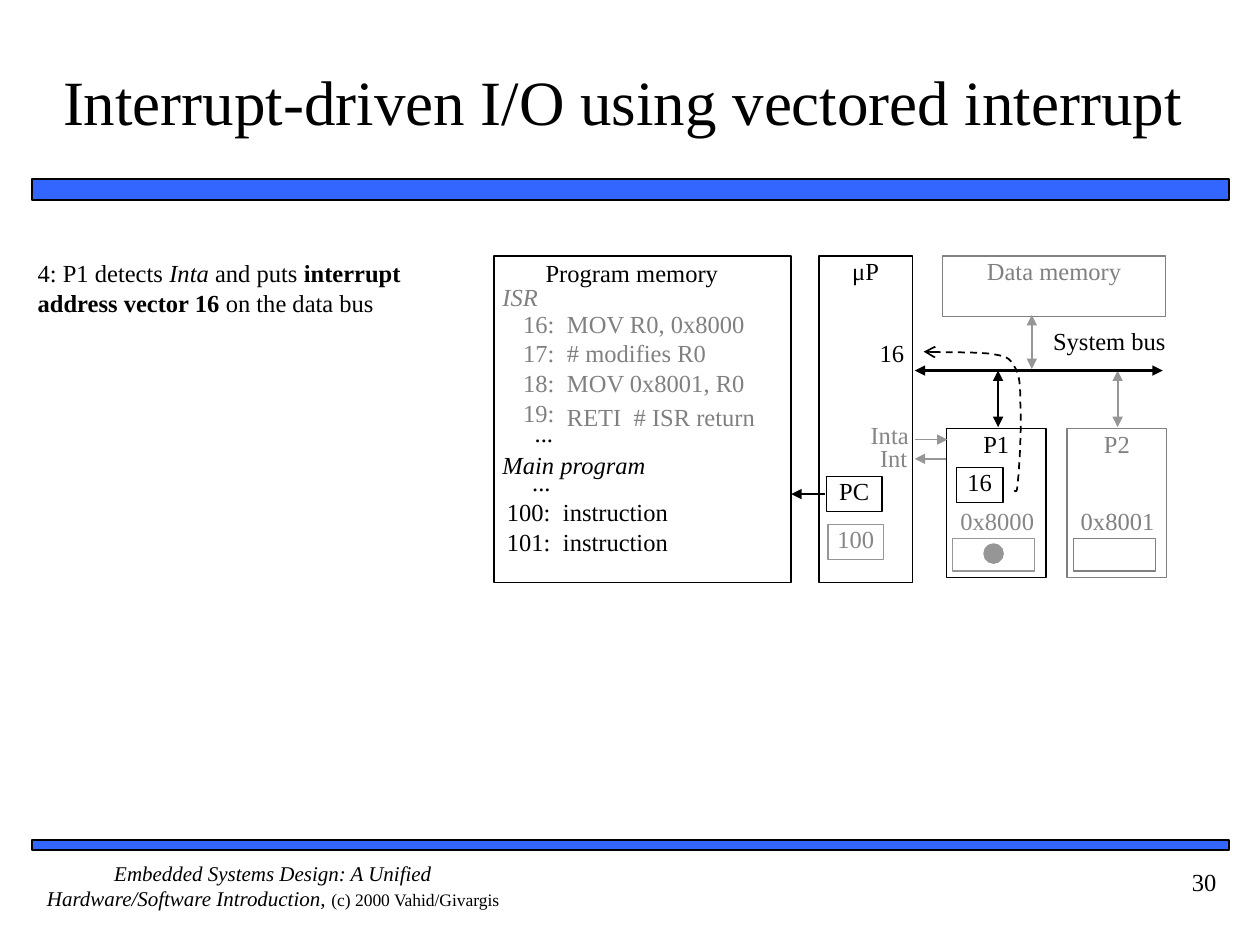
from dataclasses import dataclass

from lxml.etree import SubElement
from pptx import Presentation
from pptx.dml.color import RGBColor
from pptx.enum.dml import MSO_LINE
from pptx.enum.shapes import MSO_CONNECTOR, MSO_SHAPE
from pptx.enum.text import MSO_ANCHOR, PP_ALIGN
from pptx.oxml.ns import qn
from pptx.util import Cm, Pt


@dataclass(frozen=True)
class Theme:
    black: str = "000000"
    white: str = "FFFFFF"
    blue: str = "3366FF"
    gray: str = "808080"
    mid: str = "868686"
    pale: str = "969696"
    face: str = "Times New Roman"
    head: int = 36
    body: int = 14
    foot: int = 12
    note: int = 10


theme = Theme()
LEFT, MID, RIGHT = PP_ALIGN.LEFT, PP_ALIGN.CENTER, PP_ALIGN.RIGHT

deck = Presentation()
deck.slide_width, deck.slide_height = Cm(25.4), Cm(19.05)
slide = deck.slides.add_slide(deck.slide_layouts[6])
shapes = slide.shapes


def write(place, runs, align=LEFT, color=theme.black, shape=None,
          anchor=MSO_ANCHOR.TOP, pad=(0, 0)):
    """Put runs of (text, font values) in the shape, or in a new text box."""
    shape = shape or shapes.add_textbox(*map(Cm, place))
    frame = shape.text_frame
    side, edge = map(Cm, pad)
    values = {"word_wrap": True, "vertical_anchor": anchor,
              "margin_left": side, "margin_right": side,
              "margin_top": edge, "margin_bottom": edge}
    for name, value in values.items():
        setattr(frame, name, value)
    para = frame.paragraphs[0]
    para.alignment = align
    for text, extra in runs:
        run = para.add_run()
        run.text = text
        values = {"name": theme.face, "size": Pt(theme.body)} | extra
        for name, value in values.items():
            setattr(run.font, name, value)
        run.font.color.rgb = RGBColor.from_string(color)


def box(place, line, fill=None, text="", color=theme.black, width=0.75,
        kind=MSO_SHAPE.RECTANGLE):
    shape = shapes.add_shape(kind, *map(Cm, place))
    shape.shadow.inherit = False
    if fill:
        shape.fill.solid()
        shape.fill.fore_color.rgb = RGBColor.from_string(fill)
    else:
        shape.fill.background()
    shape.line.color.rgb = RGBColor.from_string(line)
    shape.line.width = Pt(width)
    if text:
        write(place, [(text, {})], MID, color, shape)


# Title, bars and footer
for top, tall in ((3.61, 0.43), (16.94, 0.2)):
    box((0.64, top, 24.13, tall), theme.black, theme.blue, width=1)
write((1.07, 0.43, 23.29, 3.18),
      [("Interrupt-driven I/O using vectored interrupt ", {"size": Pt(theme.head)})],
      MID, anchor=MSO_ANCHOR.MIDDLE, pad=(0, 0.13))
write((0.64, 17.35, 9.73, 1.27),
      [("Embedded Systems Design: A Unified Hardware/Software Introduction, ",
        {"size": Pt(theme.foot), "italic": True}),
       ("(c) 2000 Vahid/Givargis", {"size": Pt(theme.note)})], MID)
write((22.23, 17.35, 2.54, 1.27), [("30", {})], RIGHT, pad=(0.25, 0.13))

# Step
write((0.76, 5.21, 8.64, 1.19),
      [("4: P1 detects ", {}), ("Inta ", {"italic": True}), ("and puts ", {}),
       ("interrupt address vector 16", {"bold": True}), (" on the data bus", {})])

# Blocks, then the parts inside them
for place, line, fill, text, color in (
        ((16.51, 5.16, 1.88, 6.58), theme.black, theme.white, "μP", theme.black),
        ((19.08, 8.64, 2.01, 3), theme.black, theme.white, "P1", theme.black),
        ((21.51, 8.64, 2.01, 3), theme.gray, theme.white, "P2", theme.gray),
        ((19, 5.16, 4.5, 1.22), theme.gray, None, "Data memory", theme.gray),
        ((9.96, 5.16, 5.99, 6.58), theme.black, theme.white, "", theme.black),
        ((19.2, 10.85, 1.65, 0.66), theme.pale, theme.white, "", theme.black),
        ((21.64, 10.85, 1.65, 0.66), theme.gray, theme.white, "", theme.black),
        ((16.66, 9.6, 1.12, 0.71), theme.black, theme.white, "PC", theme.black),
        ((16.69, 10.57, 1.12, 0.71), theme.pale, None, "100", theme.mid),
        ((19.28, 9.42, 0.94, 0.71), theme.black, None, "16", theme.black)):
    box(place, line, fill, text, color)
box((19.84, 10.97, 0.38, 0.38), theme.pale, theme.pale, width=1,
    kind=MSO_SHAPE.OVAL)

# Program listing: right edge of the number, left edge of the code
for edge, top, num, left, base, code, color in (
        (11.18, 6.22, "16:", 11.43, 6.22, "MOV R0, 0x8000", theme.gray),
        (11.18, 6.81, "17:", 11.43, 6.81, "# modifies R0", theme.gray),
        (11.18, 7.42, "18:", 11.43, 7.42, "MOV 0x8001, R0", theme.gray),
        (11.18, 8.03, "19:", 11.43, 8.1, "RETI  # ISR return", theme.gray),
        (11.1, 10.01, "100:", 11.35, 10.01, "instruction", theme.black),
        (11.1, 10.62, "101:", 11.35, 10.62, "instruction", theme.black)):
    write((edge - 1.2, top, 1.2, 0.62), [(num, {})], RIGHT, color)
    write((left, base, 4.6, 0.62), [(code, {})], LEFT, color)

# Labels
for place, text, align, color, slant in (
        ((11, 5.21, 4.09, 0.84), "Program memory", LEFT, theme.black, False),
        ((10.13, 5.69, 1.3, 0.86), "ISR", LEFT, theme.gray, True),
        ((10.39, 8.43, 0.76, 0.64), "...", RIGHT, theme.black, False),
        ((10.13, 9.07, 3.51, 1.04), "Main program", LEFT, theme.black, True),
        ((10.34, 9.42, 0.76, 0.64), "...", RIGHT, theme.black, False),
        ((17.6, 6.81, 0.76, 0.71), "16", MID, theme.black, False),
        ((17.3, 8.46, 1.02, 0.81), "Inta", RIGHT, theme.mid, False),
        ((17.45, 8.94, 0.84, 0.81), "Int", RIGHT, theme.mid, False),
        ((21.03, 6.58, 2.67, 0.81), "System bus", MID, theme.black, False),
        ((19.23, 10.21, 1.75, 0.66), "0x8000", MID, theme.mid, False),
        ((21.69, 10.21, 1.68, 0.66), "0x8001", MID, theme.gray, False)):
    write(place, [(text, {"italic": slant})], align, color)

# Wires: from x, y to x, y
both, last = {"headEnd": "triangle", "tailEnd": "triangle"}, {"tailEnd": "triangle"}
wires = []
for ends, color, width, tips in (
        ((22.53, 7.47, 22.53, 8.61), theme.pale, 1.25, both),
        ((20.8, 6.35, 20.8, 7.44), theme.pale, 1.25, both),
        ((16.64, 9.96, 15.95, 9.96), theme.black, 1.25, last),
        ((19.08, 9.25, 18.44, 9.25), theme.pale, 0.75, last),
        ((18.44, 8.86, 19.1, 8.86), theme.pale, 0.75, last),
        ((18.44, 7.47, 23.44, 7.47), theme.black, 1.25, both),
        ((20.12, 7.47, 20.12, 8.61), theme.black, 1.25, both)):
    wire = shapes.add_connector(MSO_CONNECTOR.STRAIGHT, *map(Cm, ends))
    SubElement(wire.element.spPr, qn("a:effectLst"))
    wires.append((wire, color, width, tips))

# Vector's way from P1 to the processor: cubic arcs in short steps
knots = ((20.45, 9.91), (20.47, 9.86), (20.5, 10.01), (20.52, 9.7),
         (20.55, 9.42), (20.6, 8.51), (20.57, 8.13),
         (20.57, 7.75), (20.55, 7.54), (20.45, 7.39),
         (20.35, 7.21), (20.29, 7.19), (20.02, 7.14),
         (19.71, 7.09), (18.92, 7.11), (18.62, 7.09))
steps = 10
trail = []
for first in range(0, len(knots) - 1, 3):
    arc = knots[first:first + 4]
    for step in range(1, steps + 1):
        t = step / steps
        parts = ((1 - t) ** 3, 3 * t * (1 - t) ** 2, 3 * t * t * (1 - t), t ** 3)
        trail.append([Cm(sum(part * knot[axis] for part, knot in zip(parts, arc)))
                      for axis in (0, 1)])
pen = shapes.build_freeform(*map(Cm, knots[0]))
pen.add_line_segments(trail, close=False)
curve = pen.convert_to_shape()
curve.shadow.inherit = False
curve.fill.background()
curve.line.dash_style = MSO_LINE.DASH
wires.append((curve, theme.black, 1, {"tailEnd": "arrow"}))

for wire, color, width, tips in wires:
    wire.line.color.rgb = RGBColor.from_string(color)
    wire.line.width = Pt(width)
    for end, kind in tips.items():
        SubElement(wire.line._get_or_add_ln(), qn(f"a:{end}"), type=kind)

deck.save("out.pptx")
